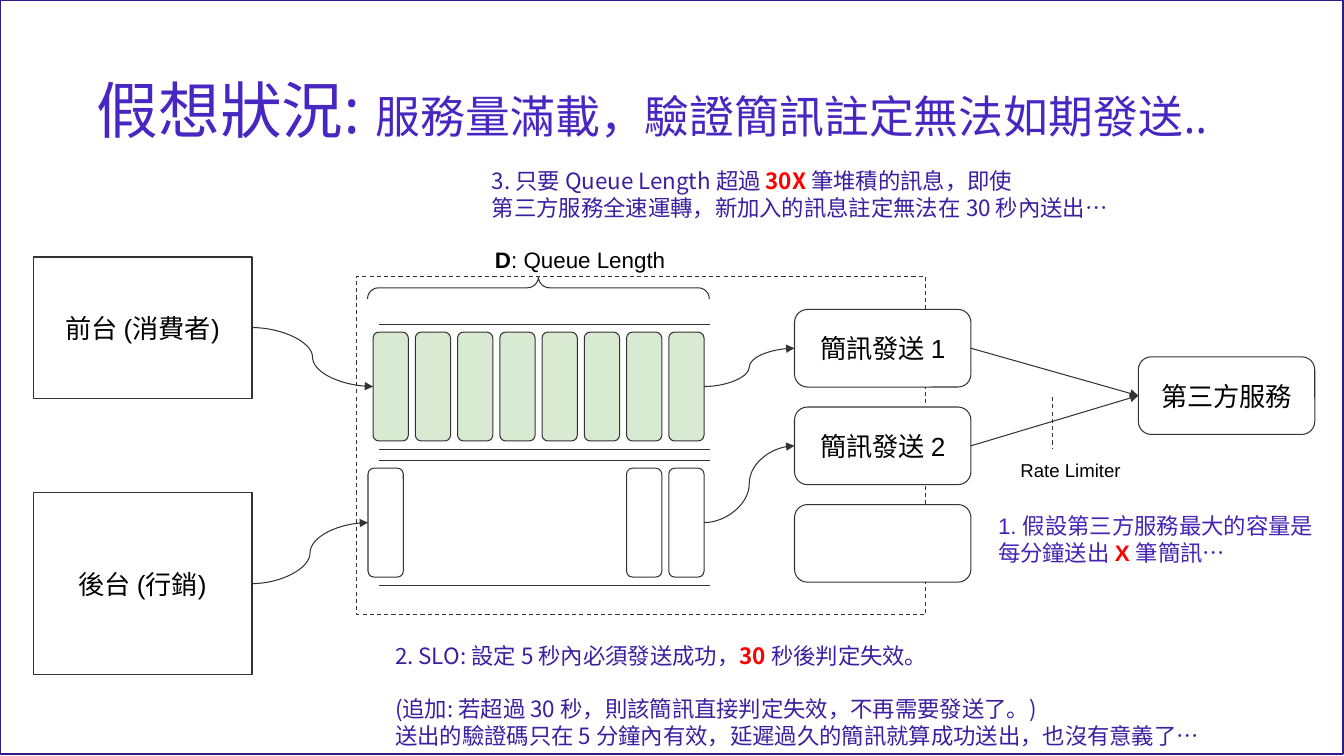
"""Build the slide about a saturated message queue."""
from lxml import etree
from pptx import Presentation, util as u
from pptx.dml.color import RGBColor
from pptx.enum import dml, shapes, text
from pptx.oxml.ns import qn

COLUMNS, ROWS = 133.3, 75
CELL = u.Inches(0.1)
INK = RGBColor(0x33, 0x33, 0x33)
BLACK = RGBColor(0, 0, 0)
WHITE = RGBColor(0xFF, 0xFF, 0xFF)
GREEN = RGBColor(0xD9, 0xEA, 0xD3)
RED = RGBColor(0xFF, 0, 0)
BORDER = RGBColor(0x32, 0x1B, 0x86)
TITLE = RGBColor(0x48, 0x26, 0xC1)
NOTE = RGBColor(0x3A, 0x20, 0xA0)
CAPACITY = RGBColor(0x44, 0x24, 0xB5)
CJK = "Noto Sans CJK SC"
KIND = shapes.MSO_SHAPE
CURVE = shapes.MSO_CONNECTOR.CURVE
STRAIGHT = shapes.MSO_CONNECTOR.STRAIGHT
LEFT_SITE, RIGHT_SITE = 1, 3


def cells(*lengths):
    """Turn grid lengths into slide lengths."""
    return [round(length * CELL) for length in lengths]


def write(frame, paragraphs, size=16, color=BLACK, font="Arial", inset=None,
          align=text.PP_ALIGN.LEFT, anchor=text.MSO_ANCHOR.TOP):
    """Fill a frame with paragraphs of (text, changes) runs."""
    frame.word_wrap = True
    frame.auto_size = text.MSO_AUTO_SIZE.NONE
    frame.vertical_anchor = anchor
    if inset is not None:
        frame.margin_left = frame.margin_right = u.Inches(inset)
        frame.margin_top = frame.margin_bottom = u.Inches(inset)
    for index, runs in enumerate(paragraphs):
        paragraph = frame.paragraphs[0] if index == 0 else frame.add_paragraph()
        paragraph.alignment = align
        for words, changes in runs:
            run = paragraph.add_run()
            run.text = words
            run.font.size = u.Pt(changes.get("size", size))
            run.font.bold = changes.get("bold", False)
            run.font.color.rgb = changes.get("color", color)
            run.font.name = font
            east_asian = etree.SubElement(run.font._element, qn("a:ea"))
            east_asian.set("typeface", CJK)


def add_box(slide, kind, area, fill=WHITE, label=None, line=INK, width=0.75):
    """Add an outlined shape with an optional centred label."""
    box = slide.shapes.add_shape(kind, *cells(*area))
    box.shadow.inherit = False
    if fill is None:
        box.fill.background()
    else:
        box.fill.solid()
        box.fill.fore_color.rgb = fill
    box.line.color.rgb = line
    box.line.width = u.Pt(width)
    if label:
        write(box.text_frame, [[(label, {})]], size=18.7, inset=0.13,
              align=text.PP_ALIGN.CENTER, anchor=text.MSO_ANCHOR.MIDDLE)
    return box


def add_note(slide, area, paragraphs, **format):
    """Add a text box."""
    note = slide.shapes.add_textbox(*cells(*area))
    write(note.text_frame, paragraphs, **format)
    return note


def add_line(slide, start, end, kind=STRAIGHT):
    """Add a thin connector between two grid points."""
    line = slide.shapes.add_connector(kind, *cells(*start, *end))
    line.line.color.rgb = INK
    line.line.width = u.Pt(0.75)
    etree.SubElement(line._element.spPr, qn("a:effectLst"))
    return line


def add_arrow(slide, source, target, kind):
    """Link the right side of one shape to the left side of another."""
    arrow = add_line(slide, (0, 0), (1, 1), kind)
    arrow.begin_connect(source, RIGHT_SITE)
    arrow.end_connect(target, LEFT_SITE)
    head = etree.SubElement(arrow.line._get_or_add_ln(), qn("a:tailEnd"))
    head.set("type", "triangle")


def add_lane(slide, top, lefts, fill):
    """Add a queue lane with its rails and return its message slots."""
    for rail in (top, top + 12.4):
        add_line(slide, (37.6, rail), (70.4, rail))
    return [add_box(slide, KIND.ROUNDED_RECTANGLE, (left, top + 0.75, 3.5, 10.8), fill)
            for left in lefts]


def add_title(slide):
    """Place and write the slide title."""
    title = slide.shapes.title
    title.left, title.top, title.width, title.height = cells(9.2, 4, 115, 14.5)
    write(title.text_frame,
          [[("假想狀況: ", {"size": 44}), ("服務量滿載，驗證簡訊註定無法如期發送..", {})]],
          size=32, color=TITLE, font="Open Sans", inset=0.04,
          anchor=text.MSO_ANCHOR.MIDDLE)
    title.text_frame.paragraphs[0].line_spacing = 0.9


def add_flow(slide):
    """Draw the path from both sources through the queue to the provider."""
    boundary = add_box(slide, KIND.RECTANGLE, (35.4, 27.4, 56.4, 33.6))
    boundary.line.dash_style = dml.MSO_LINE.DASH
    slot_lefts = [37 + 4.19 * index for index in range(8)]
    consumer_slots = add_lane(slide, 32.2, slot_lefts, GREEN)
    marketing_slots = add_lane(slide, 45.7, [36.5] + slot_lefts[-2:], WHITE)
    consumer = add_box(slide, KIND.RECTANGLE, (3.3, 25.5, 21.7, 14), label="前台 (消費者)")
    marketing = add_box(slide, KIND.RECTANGLE, (3.3, 48.9, 21.7, 18), label="後台 (行銷)")
    senders = [add_box(slide, KIND.ROUNDED_RECTANGLE, (78.8, 30.7 + 9.68 * index, 17.5, 7.7),
                       label=label)
               for index, label in enumerate(("簡訊發送 1", "簡訊發送 2", None))]
    provider = add_box(slide, KIND.ROUNDED_RECTANGLE, (112.9, 35.4, 17.5, 7.7),
                       label="第三方服務")
    lanes = ((consumer, consumer_slots), (marketing, marketing_slots))
    for (source, slots), sender in zip(lanes, senders):
        add_arrow(slide, source, slots[0], CURVE)
        add_arrow(slide, slots[-1], sender, CURVE)
        add_arrow(slide, sender, provider, STRAIGHT)
    limiter = add_line(slide, (104.4, 39.4), (104.4, 44.5))
    limiter.line.dash_style = dml.MSO_LINE.DASH
    brace = add_box(slide, KIND.RIGHT_BRACE, (52.3, 11.6, 2.2, 33.9), None)
    brace.adjustments[0] = brace.adjustments[1] = 0.5
    brace.rotation = 270


def add_notes(slide):
    """Write the captions and the three numbered remarks."""
    strong = {"color": RED, "bold": True}
    add_note(slide, (99.9, 44.2, 31.3, 5.8), [[("Rate Limiter", {})]], size=13.3, inset=0.13)
    add_note(slide, (47.8, 23.1, 21.7, 6.6),
             [[("D", {"bold": True}), (": Queue Length", {})]], inset=0.13)
    objective = add_note(slide, (38.2, 63.2, 91.8, 11.8), [
        [("2. SLO: 設定 5 秒內必須發送成功，", {}), ("30 ", strong), ("秒後判定失效。", {})],
        [("(追加: 若超過 30 秒，則該簡訊直接判定失效，不再需要發送了。)", {})],
        [("送出的驗證碼只在 5 分鐘內有效，延遲過久的簡訊就算成功送出，也沒有意義了…", {})],
    ], color=NOTE, font=CJK)
    objective.text_frame.paragraphs[1].space_before = u.Pt(19)
    add_note(slide, (47.8, 16.1, 64, 6.4), [
        [("3. 只要 Queue Length 超過 ", {}), ("30X ", strong), ("筆堆積的訊息，即使", {})],
        [("第三方服務全速運轉，新加入的訊息註定無法在 30 秒內送出…", {})],
    ], color=NOTE, font=CJK)
    add_note(slide, (98, 50.3, 33.5, 9.1), [
        [("1. 假設第三方服務最大的容量是", {})],
        [("每分鐘送出 ", {}), ("X", strong), (" 筆簡訊…", {})],
    ], color=CAPACITY)


def main():
    """Build and save the presentation."""
    deck = Presentation()
    deck.slide_width, deck.slide_height = cells(COLUMNS, ROWS)
    slide = deck.slides.add_slide(deck.slide_layouts.get_by_name("Title Only"))
    add_box(slide, KIND.RECTANGLE, (0, 0, 133.2, 74.8), None, line=BORDER, width=1)
    add_title(slide)
    add_flow(slide)
    add_notes(slide)
    deck.save("out.pptx")


if __name__ == "__main__":
    main()
